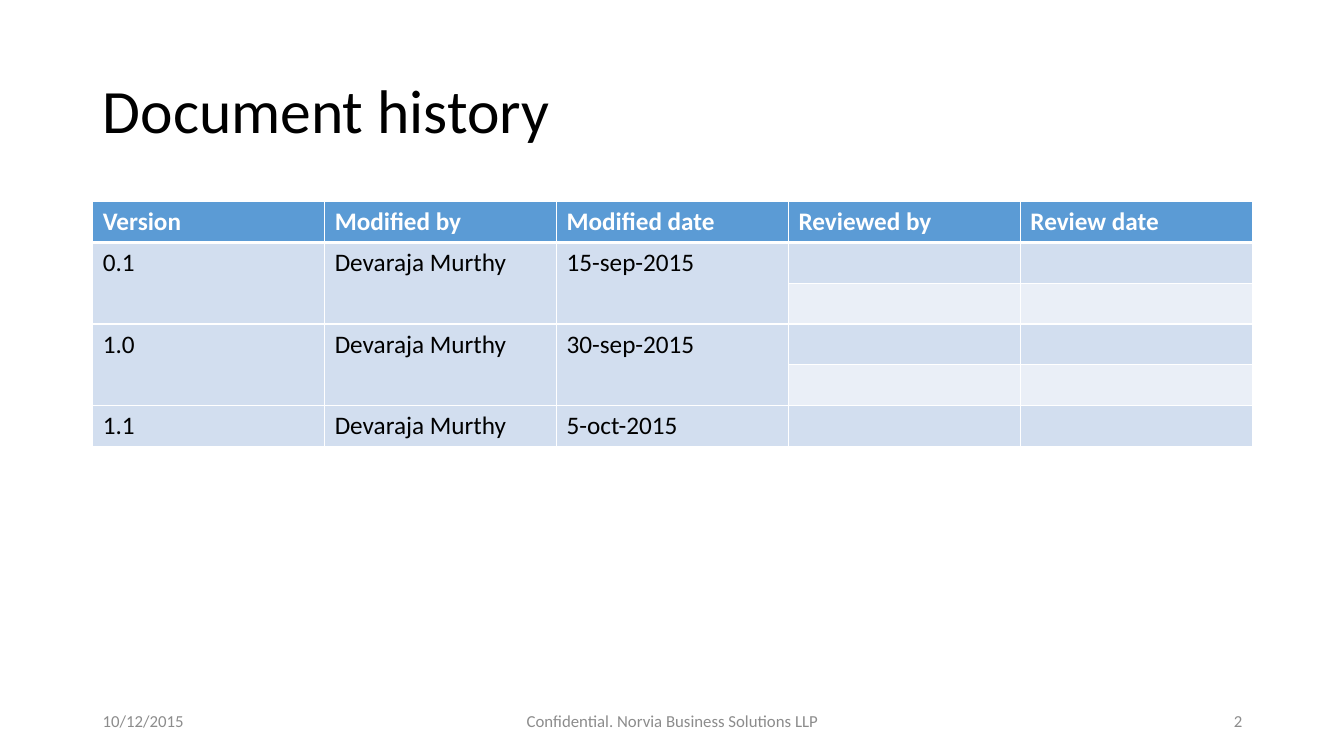
"""Build the document history slide with its version table."""
import pptx
import pptx.dml.color
import pptx.enum.text
import pptx.oxml
import pptx.oxml.ns
import pptx.util

Inches = pptx.util.Inches
RGBColor = pptx.dml.color.RGBColor
ALIGN = pptx.enum.text.PP_ALIGN
ANCHOR = pptx.enum.text.MSO_ANCHOR

FONT = "Calibri"
BLACK = RGBColor(0x00, 0x00, 0x00)
WHITE = RGBColor(0xFF, 0xFF, 0xFF)
GREY = RGBColor(0x8C, 0x8C, 0x8C)
HEADER_BLUE = RGBColor(0x5B, 0x9B, 0xD5)
BAND_DARK = RGBColor(0xD2, 0xDE, 0xEF)
BAND_LIGHT = RGBColor(0xEA, 0xEF, 0xF7)

LEFT = 0.92
COLUMN_WIDTH = 2.3
ROW_HEIGHT = 0.405
HEADERS = ["Version", "Modified by", "Modified date", "Reviewed by", "Review date"]
VERSIONS = [
    (1, 2, ["0.1", "Devaraja Murthy", "15-sep-2015"]),
    (3, 2, ["1.0", "Devaraja Murthy", "30-sep-2015"]),
    (5, 1, ["1.1", "Devaraja Murthy", "5-oct-2015"]),
]
ROW_COUNT = 6
FOOTERS = [
    (LEFT, 3, "10/12/2015", ALIGN.LEFT),
    (4.42, 4.5, "Confidential. Norvia Business Solutions LLP", ALIGN.CENTER),
    (9.42, 3, "2", ALIGN.RIGHT),
]


def style_text(paragraph, size, color, bold=False):
    """Set the font of every run in a paragraph."""
    for span in paragraph.runs:
        span.font.name = FONT
        span.font.size = pptx.util.Pt(size)
        span.font.bold = bold
        span.font.color.rgb = color


def add_text(page, left, top, width, height, text, size, color, align=ALIGN.LEFT):
    """Add a vertically centred line of text and return its paragraph."""
    box = page.shapes.add_textbox(Inches(left), Inches(top), Inches(width), Inches(height))
    frame = box.text_frame
    frame.word_wrap = True
    frame.vertical_anchor = ANCHOR.MIDDLE
    frame.text = text
    paragraph = frame.paragraphs[0]
    paragraph.alignment = align
    style_text(paragraph, size, color)
    return paragraph


def set_borders(cell, top, bottom):
    """Give a cell white borders, with top and bottom widths in points."""
    properties = cell._tc.get_or_add_tcPr()
    for side, width in (("L", 1), ("R", 1), ("T", top), ("B", bottom)):
        properties.append(pptx.oxml.parse_xml(
            f'<a:ln{side} {pptx.oxml.ns.nsdecls("a")} w="{pptx.util.Pt(width)}">'
            f'<a:solidFill><a:srgbClr val="{WHITE}"/></a:solidFill></a:ln{side}>'))


def fill_cell(cell, text, color, bold=False):
    """Write styled text into a table cell."""
    cell.text_frame.text = text
    style_text(cell.text_frame.paragraphs[0], 18, color, bold)


def add_history_table(page):
    """Add the version table with merged rows and alternating bands."""
    columns = len(HEADERS)
    table = page.shapes.add_table(
        ROW_COUNT, columns, Inches(LEFT), Inches(2),
        Inches(COLUMN_WIDTH * columns), Inches(ROW_HEIGHT * ROW_COUNT)).table
    for row in range(ROW_COUNT):
        for column in range(columns):
            cell = table.cell(row, column)
            set_borders(cell, 3 if row == 1 else 1, 3 if row == 0 else 1)
            cell.fill.solid()
            band = BAND_DARK if row % 2 or column < 3 else BAND_LIGHT
            cell.fill.fore_color.rgb = band if row else HEADER_BLUE
    for column, header in enumerate(HEADERS):
        fill_cell(table.cell(0, column), header, WHITE, bold=True)
    for row, height, values in VERSIONS:
        for column, value in enumerate(values):
            cell = table.cell(row, column)
            if height > 1:
                cell.merge(table.cell(row + height - 1, column))
            fill_cell(cell, value, BLACK)


def main():
    """Create the deck and save it."""
    deck = pptx.Presentation()
    deck.slide_width = Inches(13.33)
    deck.slide_height = Inches(7.5)
    page = deck.slides.add_slide(deck.slide_layouts[6])
    title = add_text(page, LEFT, 0.4, 11.5, 1.45, "Document history", 44, BLACK)
    title.line_spacing = 0.9
    add_history_table(page)
    for left, width, text, align in FOOTERS:
        add_text(page, left, 6.95, width, 0.4, text, 12, GREY, align)
    deck.save("out.pptx")


main()
